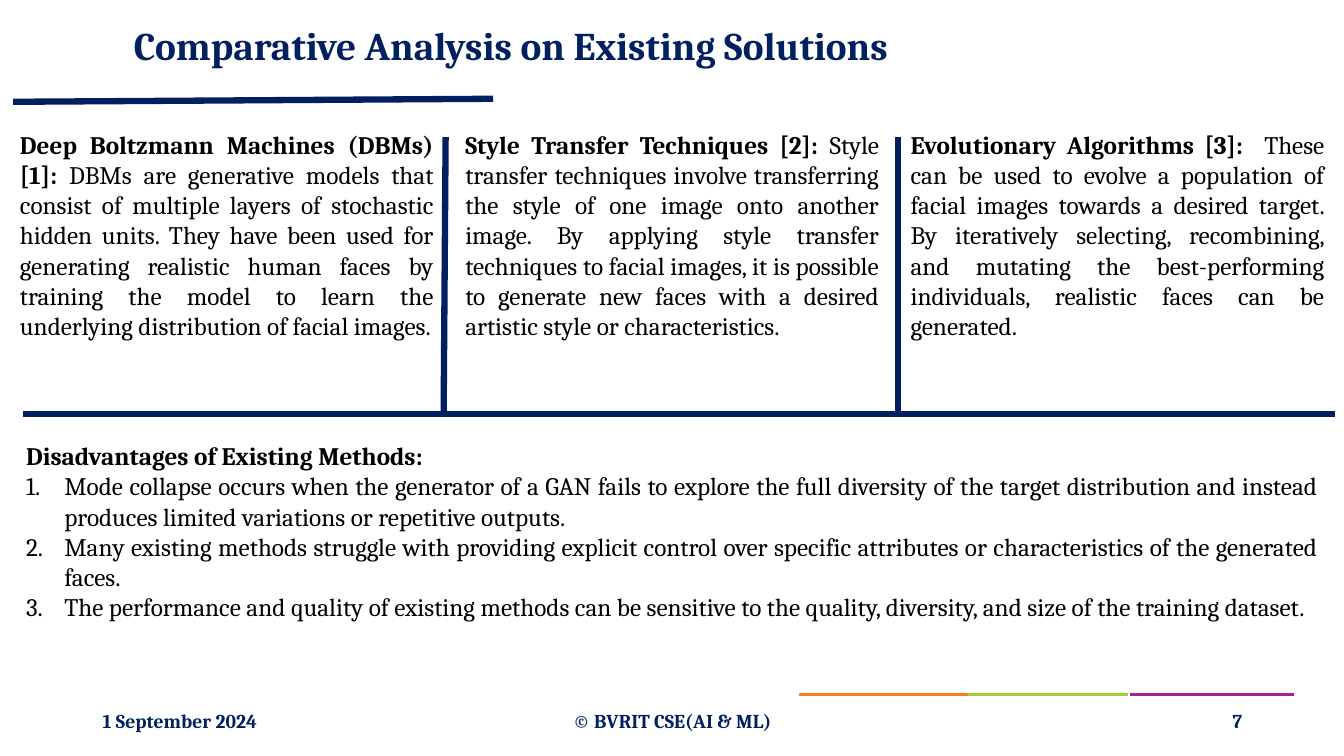
from lxml import etree
from pptx import Presentation
from pptx.dml.color import RGBColor
from pptx.enum.shapes import MSO_CONNECTOR
from pptx.enum.text import MSO_ANCHOR, PP_ALIGN
from pptx.oxml.ns import qn
from pptx.util import Inches, Pt

STRAIGHT = MSO_CONNECTOR.STRAIGHT
TOP, MIDDLE = MSO_ANCHOR.TOP, MSO_ANCHOR.MIDDLE
LEFT, CENTER, RIGHT, JUSTIFY = (
    PP_ALIGN.LEFT, PP_ALIGN.CENTER, PP_ALIGN.RIGHT, PP_ALIGN.JUSTIFY)
WIDE, HIGH = 13.33, 7.5
FONT = "Cambria"
COLORS = {"navy": "002060", "black": "000000", "orange": "F58221",
          "green": "A7CE39", "purple": "A4238F"}

METHODS = [
    ("Deep Boltzmann Machines (DBMs) [1]: ",
     "DBMs are generative models that consist of multiple layers of "
     "stochastic hidden units. They have been used for generating realistic "
     "human faces by training the model to learn the underlying distribution "
     "of facial images."),
    ("Style Transfer Techniques [2]: ",
     "Style transfer techniques involve transferring the style of one image "
     "onto another image. By applying style transfer techniques to facial "
     "images, it is possible to generate new faces with a desired artistic "
     "style or characteristics."),
    ("Evolutionary Algorithms [3]:  ",
     "These can be used to evolve a population of facial images towards a "
     "desired target. By iteratively selecting, recombining, and mutating the "
     "best-performing individuals, realistic faces can be generated."),
]
FLAWS = [
    "Mode collapse occurs when the generator of a GAN fails to explore the "
    "full diversity of the target distribution and instead produces limited "
    "variations or repetitive outputs.",
    "Many existing methods struggle with providing explicit control over "
    "specific attributes or characteristics of the generated faces.",
    "The performance and quality of existing methods can be sensitive to the "
    "quality, diversity, and size of the training dataset.",
]


def add_line(slide, start, end, color, width):
    """Draw a straight line without shadow."""
    line = slide.shapes.add_connector(
        STRAIGHT, *[Inches(v) for v in (*start, *end)])
    line.line.color.rgb = RGBColor.from_string(COLORS[color])
    line.line.width = Pt(width)
    etree.SubElement(line._element.spPr, qn("a:effectLst"))


def style(para, size, color, align, bold):
    """Format a paragraph and all its runs."""
    para.alignment = align
    for run in para.runs:
        run.font.name, run.font.size, run.font.bold = FONT, Pt(size), bold
        run.font.color.rgb = RGBColor.from_string(COLORS[color])


def add_text(slide, box, text, size, color, align, anchor=TOP):
    """Place a bold line of text and return its frame."""
    shape = slide.shapes.add_textbox(*[Inches(v) for v in box])
    frame = shape.text_frame
    frame.word_wrap, frame.vertical_anchor = True, anchor
    frame.text = text
    style(frame.paragraphs[0], size, color, align, True)
    return frame


def add_head(slide, box):
    """Place the title and the rule below it."""
    left, top, width, height = box
    title = add_text(slide, (left + 1.1, top, width - 1.1, height),
                     "Comparative Analysis on Existing Solutions",
                     28, "navy", LEFT, MIDDLE)
    title.paragraphs[0].line_spacing = 0.9
    add_line(slide, (left, top + 0.86), (left + 4.76, top + 0.83), "navy", 4.5)


def add_methods(slide, box):
    """Place one column per method, with rules between and below."""
    left, top, width, height = box
    step, floor = width / len(METHODS), top + height
    for i, (name, body) in enumerate(METHODS):
        x = left + i * step
        frame = add_text(slide, (x, top, 4.3, 2.52), name, 18, "black", JUSTIFY)
        run = frame.paragraphs[0].add_run()
        run.text = body
        style(frame.paragraphs[0], 18, "black", JUSTIFY, False)
        frame.paragraphs[0].runs[0].font.bold = True
    for head, foot in ((4.42, 4.4), (8.91, 8.91)):
        add_line(slide, (head, top + 0.13), (foot, floor), "navy", 4.5)
    add_line(slide, (left + 0.13, floor), (left + width - 0.11, floor),
             "navy", 4.5)


def add_flaws(slide, box):
    """Place the heading and the numbered list."""
    frame = add_text(slide, box, "Disadvantages of Existing Methods:",
                     18, "black", JUSTIFY)
    for flaw in FLAWS:
        para = frame.add_paragraph()
        para.text = flaw
        props = para._p.get_or_add_pPr()
        props.set("marL", str(Inches(0.38)))
        props.set("indent", str(-Inches(0.38)))
        etree.SubElement(props, qn("a:buFont"), typeface="+mj-lt")
        etree.SubElement(props, qn("a:buAutoNum"), type="arabicPeriod")
        style(para, 18, "black", JUSTIFY, False)


def add_foot(slide, box):
    """Place the coloured rules and the footer texts."""
    left, top, width, height = box
    for start, end, color in ((10.29, 11.91, "purple"), (8.59, 10.27, "green"),
                              (7, 8.68, "orange")):
        add_line(slide, (left + start, top), (left + end, top), color, 2.25)
    for x, span, text, align in (
            (0, 3.31, "1 September 2024", LEFT),
            (3.5, 4.5, "© BVRIT CSE(AI & ML)", CENTER),
            (width - 3, 3, "7", RIGHT)):
        add_text(slide, (left + x, top + 0.06, span, height - 0.06), text,
                 14, "navy", align, MIDDLE)


def main():
    """Build and save the slide."""
    deck = Presentation()
    deck.slide_width, deck.slide_height = Inches(WIDE), Inches(HIGH)
    slide = deck.slides.add_slide(deck.slide_layouts[6])
    add_foot(slide, (0.92, 6.89, 11.5, 0.46))
    add_head(slide, (0.13, 0.15, 11.78, 0.65))
    add_methods(slide, (0.1, 1.23, 13.25, 2.88))
    add_flaws(slide, (0.16, 4.32, 13.01, 2.52))
    deck.save("out.pptx")


if __name__ == "__main__":
    main()
